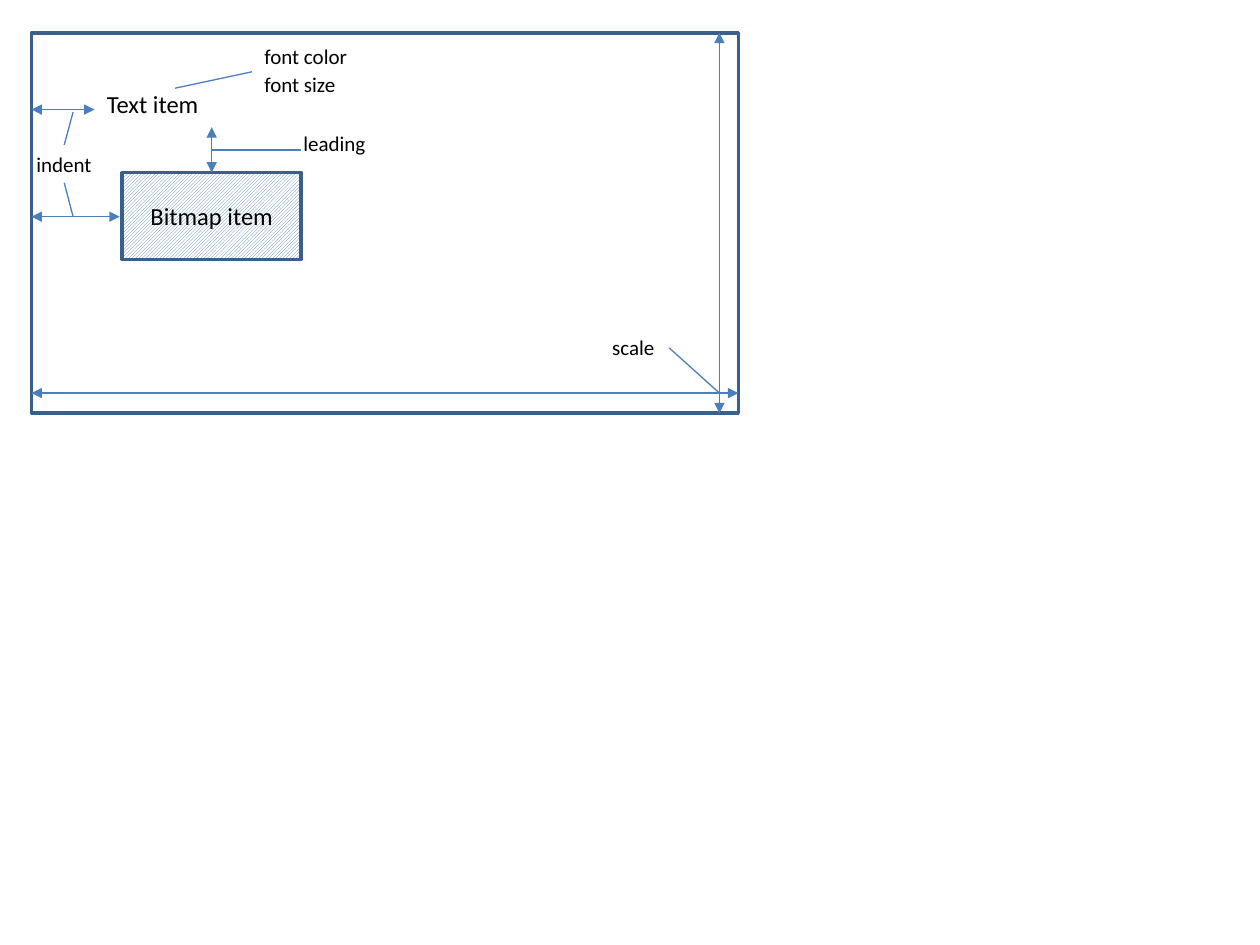
from pptx import Presentation
from pptx.dml.color import RGBColor
from pptx.enum.dml import MSO_PATTERN
from pptx.enum.shapes import MSO_CONNECTOR, MSO_SHAPE
from pptx.enum.text import MSO_ANCHOR, MSO_AUTO_SIZE, PP_ALIGN
from pptx.oxml.ns import qn
from pptx.util import Inches, Pt
from lxml import etree

RECTANGLE = MSO_SHAPE.RECTANGLE
STRAIGHT = MSO_CONNECTOR.STRAIGHT
HATCH = MSO_PATTERN.LIGHT_UPWARD_DIAGONAL
LEFT, CENTER = PP_ALIGN.LEFT, PP_ALIGN.CENTER
TOP, MIDDLE = MSO_ANCHOR.TOP, MSO_ANCHOR.MIDDLE
FIT_SHAPE = MSO_AUTO_SIZE.SHAPE_TO_FIT_TEXT


def color(value):
    return RGBColor.from_string(value)


def write(frame, text, size=12, font="Calibri", fill="000000", align=LEFT, anchor=TOP, wrap=True):
    frame.word_wrap = wrap
    frame.vertical_anchor = anchor
    paragraph = frame.paragraphs[0]
    paragraph.alignment = align
    run = paragraph.add_run()
    run.text = text
    run.font.size = Pt(size)
    run.font.name = font
    run.font.color.rgb = color(fill)


class Diagram:
    border, stroke, hatch, paper = "3A5F8C", "4B7EBC", "4F81BD", "FFFFFF"

    def __init__(self, slide):
        self.shapes = slide.shapes

    def box(self, left, top, width, height, hatched=False):
        shape = self.shapes.add_shape(RECTANGLE, *map(Inches, (left, top, width, height)))
        shape.shadow.inherit = False
        if hatched:
            shape.fill.patterned()
            shape.fill.pattern = HATCH
            shape.fill.fore_color.rgb = color(self.hatch)
            shape.fill.back_color.rgb = color(self.paper)
        else:
            shape.fill.background()
        shape.line.color.rgb = color(self.border)
        shape.line.width = Pt(2)
        return shape

    def label(self, text, left, top, width, height=0.3, **style):
        area = self.shapes.add_textbox(*map(Inches, (left, top, width, height)))
        write(area.text_frame, text, **style)
        area.text_frame.auto_size = FIT_SHAPE

    def line(self, x1, y1, x2, y2, arrows=False):
        connector = self.shapes.add_connector(STRAIGHT, *map(Inches, (x1, y1, x2, y2)))
        connector.line.color.rgb = color(self.stroke)
        connector.line.width = Pt(0.75)
        properties = connector._element.spPr
        if arrows:
            outline = properties.find(qn("a:ln"))
            for end in ("a:headEnd", "a:tailEnd"):
                etree.SubElement(outline, qn(end), type="triangle")
        etree.SubElement(properties, qn("a:effectLst"))


presentation = Presentation()
presentation.slide_width, presentation.slide_height = Inches(10), Inches(7.5)
diagram = Diagram(presentation.slides.add_slide(presentation.slide_layouts[6]))

menu_left, menu_top, menu_width, menu_height = 0.25, 0.26, 5.61, 3.02
menu_right, menu_bottom = menu_left + menu_width, menu_top + menu_height
bitmap_left, bitmap_top, bitmap_width, bitmap_height = 0.97, 1.37, 1.42, 0.69
bitmap_center = bitmap_left + bitmap_width / 2
scale_x, scale_y = 5.71, 3.12
text_indent_y, bitmap_indent_y = 0.87, 1.72

diagram.box(menu_left, menu_top, menu_width, menu_height)
bitmap_item = diagram.box(bitmap_left, bitmap_top, bitmap_width, bitmap_height, hatched=True)
write(bitmap_item.text_frame, "Bitmap item", size=14, align=CENTER, anchor=MIDDLE)

diagram.label("Text item", 0.75, 0.66, 4.4, 0.34, size=14)
for text, top in (("font color", 0.3), ("font size", 0.52)):
    diagram.label(text, 2, top, 1.19)
for text, left, top, width in (
    ("leading", 2.31, 0.99, 0.7),
    ("indent", 0.19, 1.15, 0.64),
    ("scale", 4.76, 2.61, 0.54),
):
    diagram.label(text, left, top, width, wrap=False)

for measure in (
    (menu_left, text_indent_y, 0.75, text_indent_y),
    (menu_left, bitmap_indent_y, 0.95, bitmap_indent_y),
    (bitmap_center, 1.01, bitmap_center, bitmap_top),
    (scale_x, menu_bottom, scale_x, menu_top),
    (menu_left, scale_y, menu_right, scale_y),
):
    diagram.line(*measure, arrows=True)

for callout in (
    (bitmap_center, 1.19, 2.39, 1.19),
    (0.58, bitmap_indent_y, 0.51, 1.45),
    (0.51, 1.15, 0.58, 0.89),
    (5.31, 2.76, scale_x, scale_y),
    (1.39, 0.7, 2, 0.57),
):
    diagram.line(*callout)

presentation.save("out.pptx")
